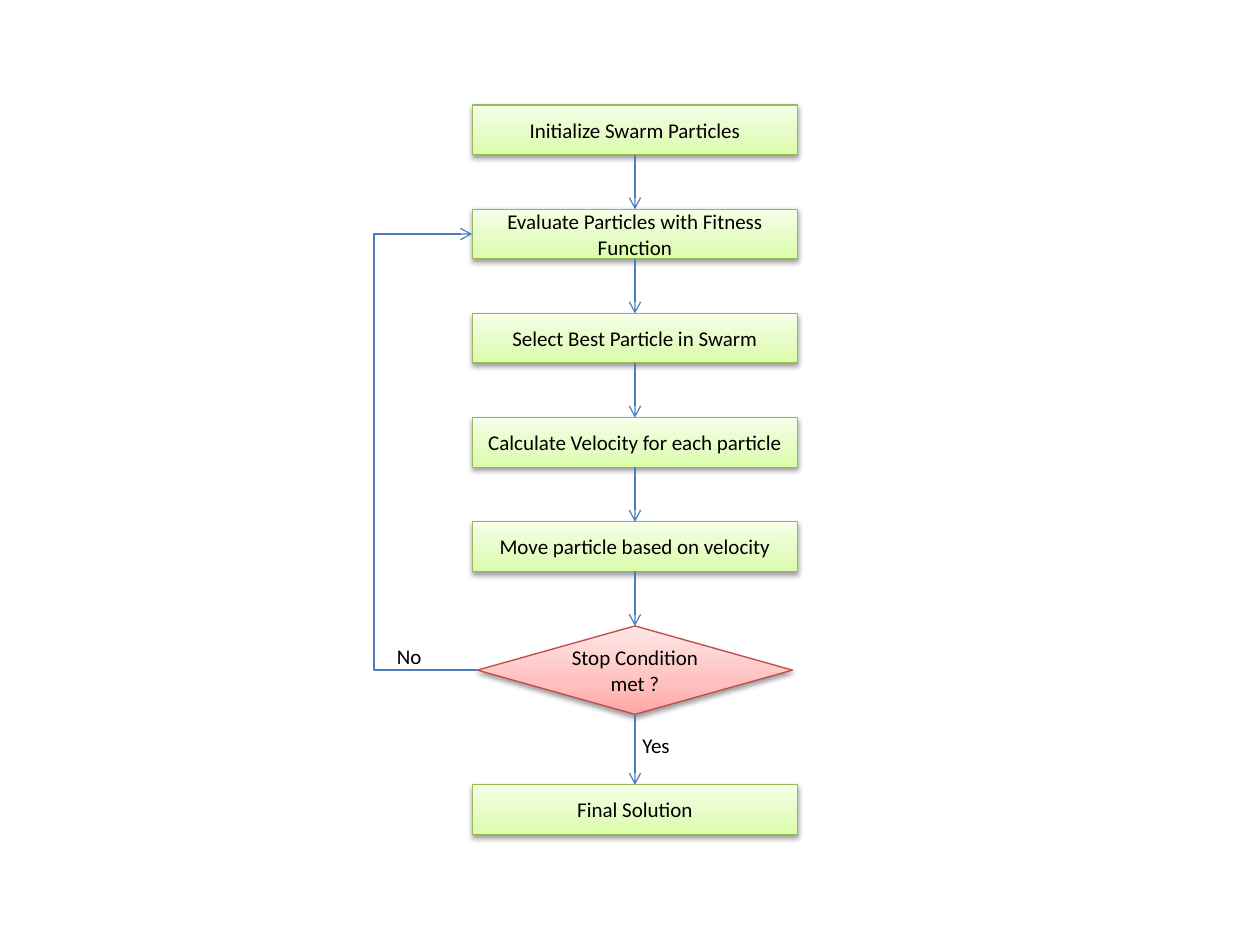
from copy import deepcopy
from dataclasses import dataclass
from itertools import pairwise

from lxml.etree import SubElement
from pptx import Presentation
from pptx.dml.color import RGBColor
from pptx.enum.shapes import MSO_CONNECTOR as Link, MSO_SHAPE as Shape
from pptx.enum.text import MSO_ANCHOR as Anchor, MSO_AUTO_SIZE as AutoSize, PP_ALIGN as Align
from pptx.oxml.ns import qn
from pptx.util import Cm, Pt


@dataclass(frozen=True)
class Theme:
    """Colours, font and sizes of the flowchart."""
    font: str = "Calibri"
    text_size: float = 12
    line_width: float = 0.75
    text: str = "000000"
    arrow: str = "4B7EBC"
    step_line: str = "98B955"
    step_fill: tuple = ("DAFDA7", "E4FCC2", "F5FFE7")
    decision_line: str = "BF4C48"
    decision_fill: tuple = ("FFA6A5", "FFC0BF", "FFE7E7")
    stops: tuple = (0, 0.35, 1)


THEME = Theme()
STEPS = (
    "Initialize Swarm Particles",
    "Evaluate Particles with Fitness Function",
    "Select Best Particle in Swarm",
    "Calculate Velocity for each particle",
    "Move particle based on velocity",
)
CENTER_X, FIRST_TOP, PITCH = 12.8, 2.12, 2.1
STEP_SIZE, DECISION_SIZE = (6.56, 1.0), (6.35, 1.78)
FINAL_TOP, LOOP_X = 15.82, 7.54
TOP, LEFT, BOTTOM = 0, 1, 2


def write(frame, text, align=Align.LEFT, anchor=Anchor.TOP, wrap=True):
    """Put formatted text into a text frame."""
    frame.word_wrap = wrap
    frame.vertical_anchor = anchor
    paragraph = frame.paragraphs[0]
    paragraph.alignment = align
    run = paragraph.add_run()
    run.text = text
    run.font.name = THEME.font
    run.font.size = Pt(THEME.text_size)
    run.font.color.rgb = RGBColor.from_string(THEME.text)


def shade(node, colors):
    """Fill a node with a three-stop gradient that rises from its bottom edge."""
    node.fill.gradient()
    node.fill.gradient_angle = 90
    stop_list = node._element.spPr.find(".//" + qn("a:gsLst"))
    stop_list.append(deepcopy(stop_list[-1]))
    for stop, position, color in zip(node.fill.gradient_stops, THEME.stops, colors):
        stop.position = position
        stop.color.rgb = RGBColor.from_string(color)


def drop_shadow(node):
    """Give a node a soft shadow below it."""
    node.shadow.inherit = False
    effects = node._element.spPr.find(qn("a:effectLst"))
    shadow = SubElement(effects, qn("a:outerShdw"), blurRad=str(Pt(3.1)),
                        dist=str(Pt(1.6)), dir="5400000", rotWithShape="0")
    color = SubElement(shadow, qn("a:srgbClr"), val="000000")
    SubElement(color, qn("a:alpha"), val="38000")


def add_node(slide, kind, text, top, size, colors, outline):
    """Add a flowchart node centred on the main column."""
    width, height = size
    node = slide.shapes.add_shape(kind, Cm(CENTER_X - width / 2), Cm(top),
                                  Cm(width), Cm(height))
    shade(node, colors)
    node.line.color.rgb = RGBColor.from_string(outline)
    node.line.width = Pt(THEME.line_width)
    drop_shadow(node)
    write(node.text_frame, text, align=Align.CENTER, anchor=Anchor.MIDDLE)
    return node


def add_step(slide, text, top):
    """Add a green process step."""
    return add_node(slide, Shape.RECTANGLE, text, top, STEP_SIZE,
                    THEME.step_fill, THEME.step_line)


def add_arrow(slide, source, target, kind=Link.STRAIGHT, exit_site=BOTTOM, entry_site=TOP):
    """Join two nodes with an arrow."""
    arrow = slide.shapes.add_connector(kind, 0, 0, 0, 0)
    arrow.begin_connect(source, exit_site)
    arrow.end_connect(target, entry_site)
    arrow.line.color.rgb = RGBColor.from_string(THEME.arrow)
    arrow.line.width = Pt(THEME.line_width)
    SubElement(arrow.line._get_or_add_ln(), qn("a:tailEnd"), type="arrow")
    SubElement(arrow._element.spPr, qn("a:effectLst"))
    return arrow


def add_loop(slide, source, target):
    """Lead an arrow from the decision back to an earlier step."""
    loop = add_arrow(slide, source, target, Link.ELBOW, LEFT, LEFT)
    reach = (loop.begin_x - Cm(LOOP_X)) / (loop.begin_x - loop.end_x)
    geometry = loop._element.spPr.find(qn("a:prstGeom"))
    guides = geometry.find(qn("a:avLst"))
    SubElement(guides, qn("a:gd"), name="adj1", fmla=f"val {round(reach * 100000)}")


def add_label(slide, text, left, top, width):
    """Add a branch label."""
    label = slide.shapes.add_textbox(Cm(left), Cm(top), Cm(width), Cm(0.77))
    write(label.text_frame, text, wrap=False)
    label.text_frame.auto_size = AutoSize.SHAPE_TO_FIT_TEXT


def main():
    """Build the particle swarm flowchart."""
    deck = Presentation()
    deck.slide_width, deck.slide_height = Cm(25.4), Cm(19.05)
    slide = deck.slides.add_slide(deck.slide_layouts[6])

    steps = [add_step(slide, text, FIRST_TOP + row * PITCH)
             for row, text in enumerate(STEPS)]
    decision = add_node(slide, Shape.FLOWCHART_DECISION, "Stop Condition met ?",
                        FIRST_TOP + len(STEPS) * PITCH, DECISION_SIZE,
                        THEME.decision_fill, THEME.decision_line)
    solution = add_step(slide, "Final Solution", FINAL_TOP)

    for source, target in pairwise([*steps, decision, solution]):
        add_arrow(slide, source, target)
    add_loop(slide, decision, steps[1])
    add_label(slide, "No", 7.75, 12.85, 1.02)
    add_label(slide, "Yes", 12.7, 14.65, 1.07)

    deck.save("out.pptx")


main()
